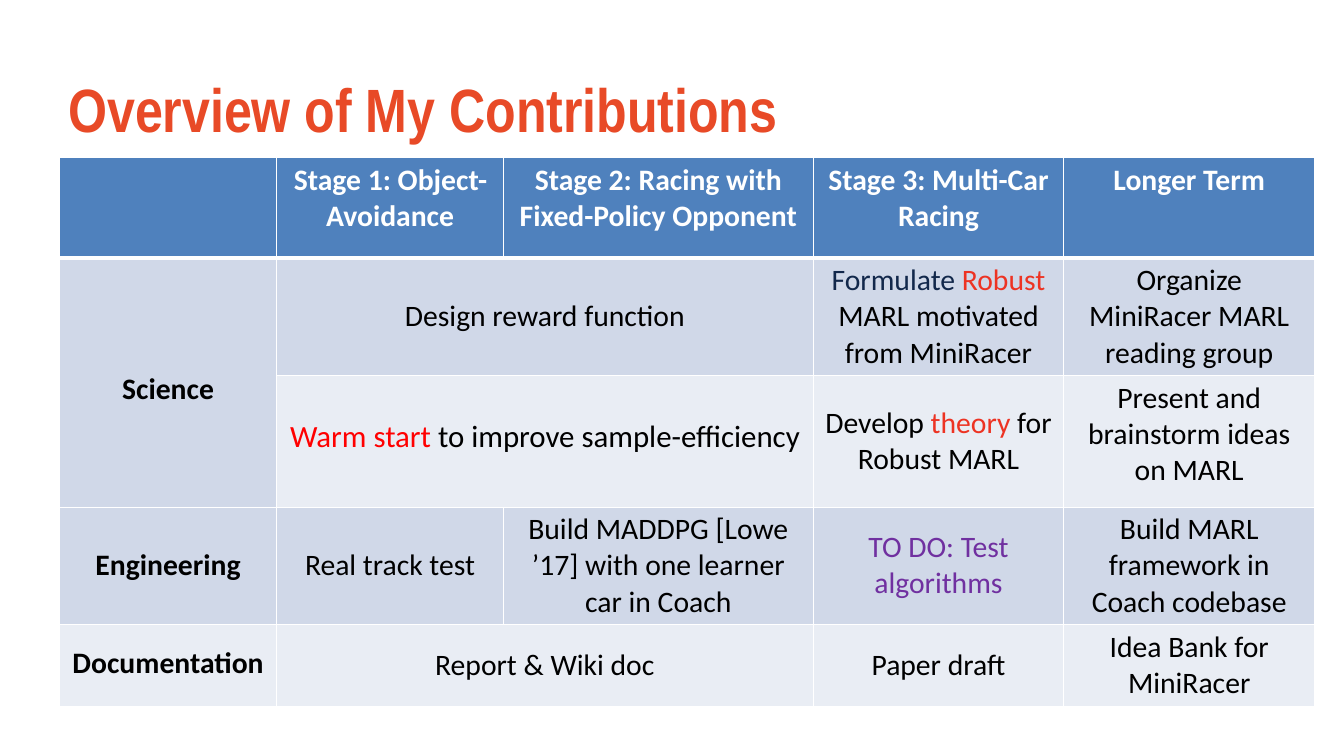
import pptx
import pptx.util
import pptx.dml.color
import pptx.enum.text
from lxml import etree
from pptx.oxml.ns import qn

Cm, Pt = pptx.util.Cm, pptx.util.Pt
Align, Anchor = pptx.enum.text.PP_ALIGN, pptx.enum.text.MSO_ANCHOR

WHITE, BLACK, RED = "FFFFFF", "000000", "ED3323"
HEAD, DARK, LIGHT = "4F81BD", "D0D8E8", "E9EDF4"
FILLS = [HEAD, DARK, LIGHT, DARK, LIGHT]

TITLE = "Overview of My Contributions"
WIDTHS = [6.2, 6.48, 8.84, 7.16, 7.16]
HEIGHTS = [2.87, 3.35, 3.76, 3.35, 2.34]

# Each cell is a text or a list of (text, colour); None leaves it empty.
ROWS = [
    [None, "Stage 1: Object-Avoidance", "Stage 2: Racing with Fixed-Policy Opponent",
     "Stage 3: Multi-Car Racing", "Longer Term"],
    ["Science", "Design reward function", None,
     [("Formulate ", "12284B"), ("Robust ", RED), ("MARL motivated from MiniRacer", BLACK)],
     "Organize MiniRacer MARL reading group"],
    [None, [("Warm start ", "FF0000"), ("to improve sample-efficiency", BLACK)], None,
     [("Develop ", BLACK), ("theory ", RED), ("for Robust MARL", BLACK)],
     "Present and brainstorm ideas on MARL"],
    ["Engineering", "Real track test",
     "Build MADDPG [Lowe ’17] with one learner car in Coach",
     [("TO DO: Test algorithms", "7030A0")], "Build MARL framework in Coach codebase"],
    ["Documentation", "Report & Wiki doc", None, "Paper draft", "Idea Bank for MiniRacer"],
]
MERGES = [((1, 0), (2, 0)), ((1, 1), (1, 2)), ((2, 1), (2, 2)), ((4, 1), (4, 2))]
SIZES = {(2, 1): 25}
TOPS = {(2, 4)}
DROPS = {(1, 0): 0.2, (2, 1): -0.11, (4, 0): -0.06}


def tint(code):
    return pptx.dml.color.RGBColor.from_string(code)


def write(frame, text, color=BLACK, size=24, font="Calibri", bold=False, align=Align.CENTER):
    frame.word_wrap = True
    para = frame.paragraphs[0]
    para.alignment = align
    for part, shade in [(text, color)] if isinstance(text, str) else text:
        run = para.add_run()
        run.text = part
        run.font.name, run.font.size, run.font.bold = font, Pt(size), bold
        run.font.color.rgb = tint(shade)


def edge(cell, base):
    """Draw white borders, with the bottom one base points wide."""
    props = cell._tc.get_or_add_tcPr()
    for side, width in zip("LRTB", (1, 1, 1, base)):
        line = etree.SubElement(props, qn(f"a:ln{side}"), w=str(Pt(width)))
        fill = etree.SubElement(line, qn("a:solidFill"))
        etree.SubElement(fill, qn("a:srgbClr"), val=WHITE)


def main():
    deck = pptx.Presentation()
    deck.slide_width, deck.slide_height = Cm(38.38), Cm(21.59)
    slide = deck.slides.add_slide(deck.slide_layouts[6])

    box = slide.shapes.add_textbox(Cm(1.7), Cm(1.9), Cm(35.08), Cm(2))
    write(box.text_frame, TITLE, color="E84A27", size=49.5,
          font="Arial Narrow", bold=True, align=Align.LEFT)

    table = slide.shapes.add_table(len(ROWS), len(WIDTHS), Cm(1.7), Cm(4.5),
                                   Cm(sum(WIDTHS)), Cm(sum(HEIGHTS))).table
    for col, width in zip(table.columns, WIDTHS):
        col.width = Cm(width)
    for row, height in zip(table.rows, HEIGHTS):
        row.height = Cm(height)

    for r, row in enumerate(ROWS):
        for c, text in enumerate(row):
            cell = table.cell(r, c)
            edge(cell, 3 if r == 0 else 1)
            cell.fill.solid()
            cell.fill.fore_color.rgb = tint(FILLS[r])
            top = r == 0 or (r, c) in TOPS
            cell.vertical_anchor = Anchor.TOP if top else Anchor.MIDDLE
            drop = DROPS.get((r, c), 0)
            cell.margin_top = Cm(0.13 + 2 * max(drop, 0))
            cell.margin_bottom = Cm(0.13 + 2 * max(-drop, 0))
            if text:
                write(cell.text_frame, text, color=WHITE if r == 0 else BLACK,
                      size=SIZES.get((r, c), 24), bold=r == 0 or c == 0)
    for first, last in MERGES:
        table.cell(*first).merge(table.cell(*last))

    deck.save("out.pptx")


if __name__ == "__main__":
    main()
